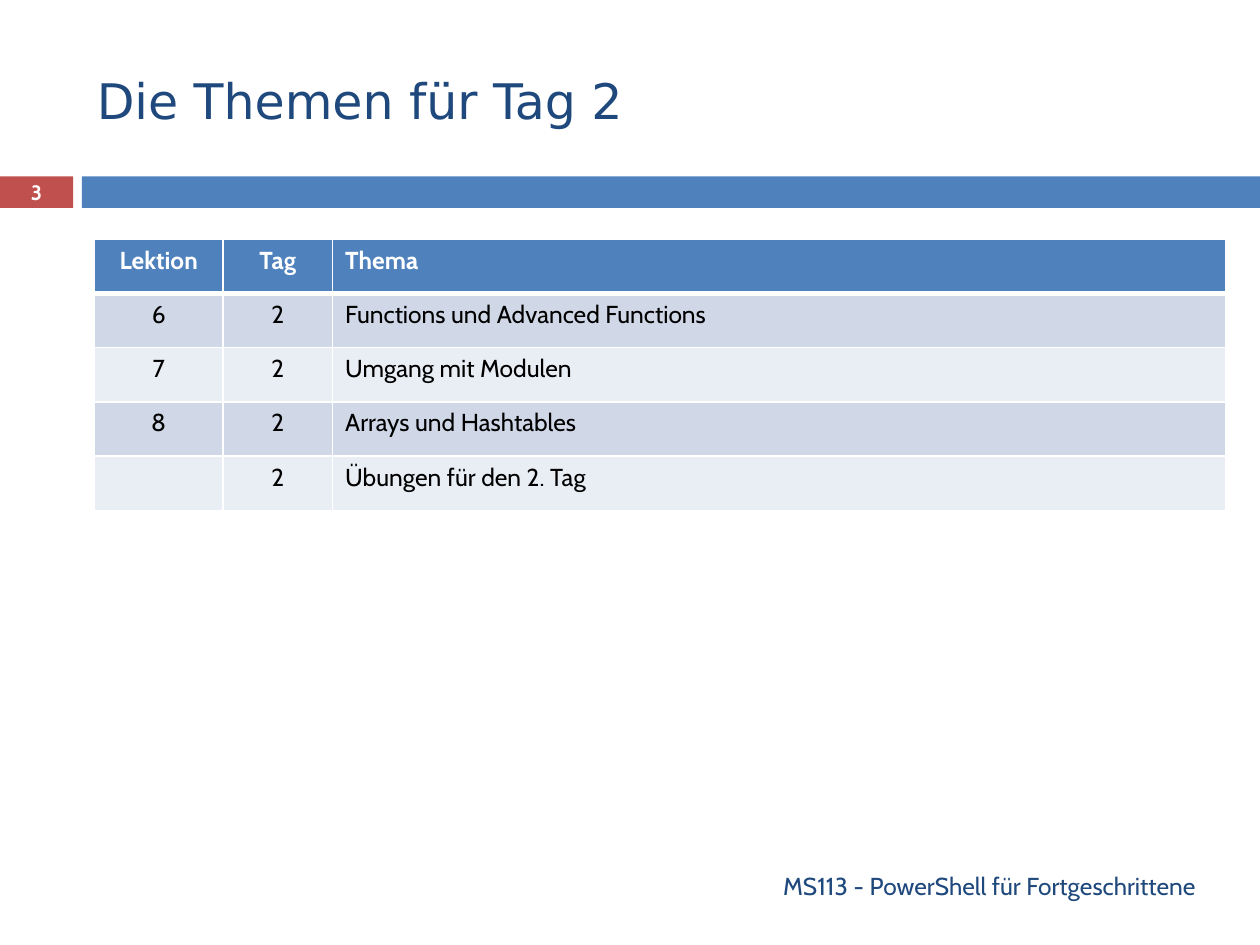
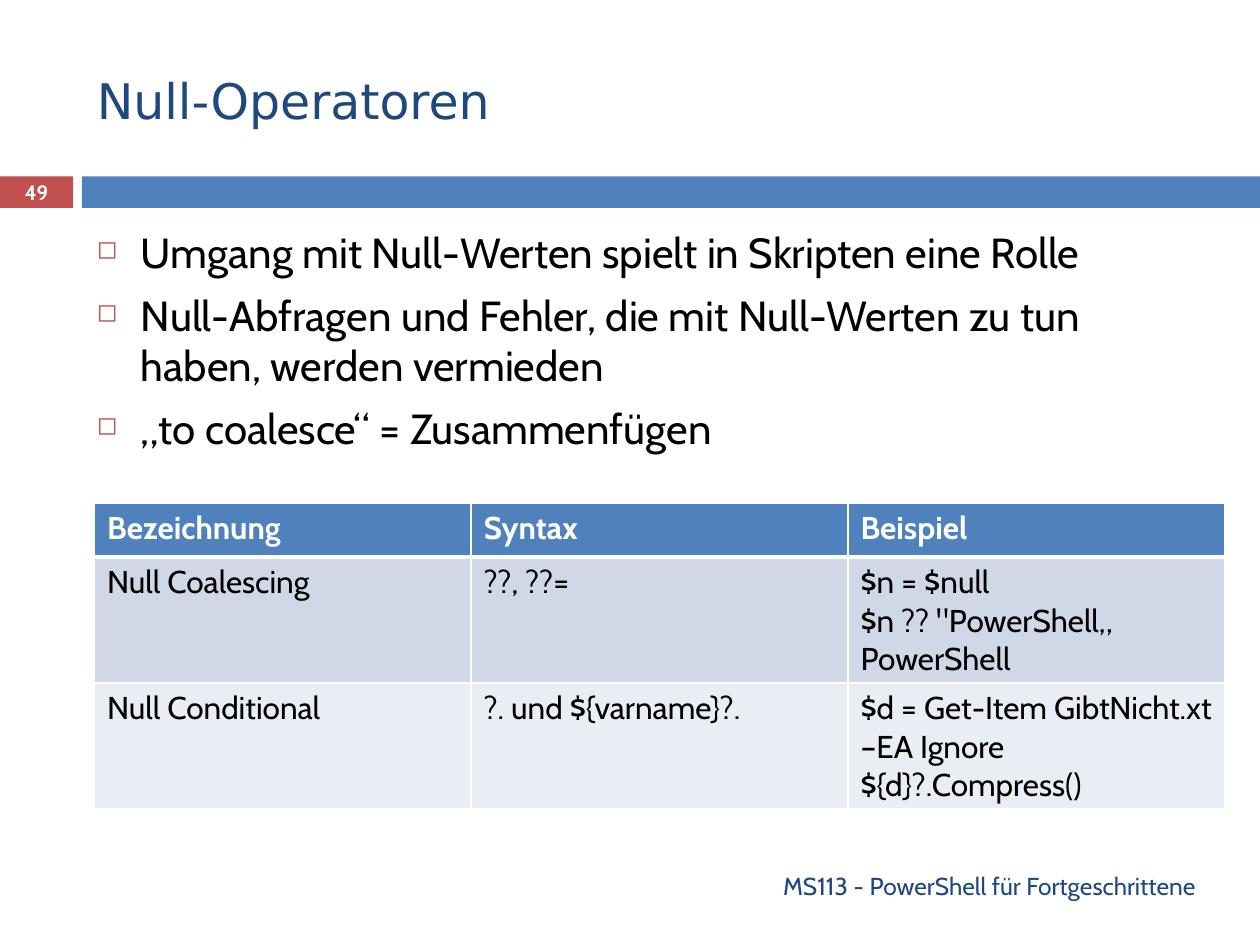
import pptx
import pptx.dml.color
import pptx.enum.shapes
import pptx.enum.text
import pptx.oxml
import pptx.oxml.ns
import pptx.util
from lxml import etree

Inches = pptx.util.Inches
Pt = pptx.util.Pt
RGBColor = pptx.dml.color.RGBColor
ALIGN = pptx.enum.text.PP_ALIGN
ANCHOR = pptx.enum.text.MSO_ANCHOR
qn = pptx.oxml.ns.qn

BLUE = RGBColor(0x4F, 0x81, 0xBD)
NAVY = RGBColor(0x1F, 0x49, 0x7D)
RED = RGBColor(0xC0, 0x50, 0x4D)
BAND_DARK = RGBColor(0xD0, 0xD8, 0xE8)
BAND_LIGHT = RGBColor(0xE9, 0xED, 0xF4)
WHITE = RGBColor(0xFF, 0xFF, 0xFF)
BLACK = RGBColor(0, 0, 0)
TITLE_FONT = "DejaVu Sans"
BODY_FONT = "Cabin"
FOOTER = "MS113 - PowerShell für Fortgeschrittene"


class Deck:
    def __init__(self):
        self.prs = pptx.Presentation()
        self.prs.slide_width = Inches(10)
        self.prs.slide_height = Inches(7.5)
        self.s = None

    def slide(self, title, number):
        self.s = self.prs.slides.add_slide(self.prs.slide_layouts[6])
        self.band(0, 0.58, RED)
        self.band(0.65, 9.35, BLUE)
        self.text(title, 0.67, 0.25, 8.92, 1.08, 28, NAVY, font=TITLE_FONT)
        self.text(FOOTER, 0.67, 6.83, 8.92, 0.4, 14, NAVY, ALIGN.RIGHT)
        self.text(str(number), 0, 1.39, 0.58, 0.27, 11.9, WHITE, ALIGN.CENTER, bold=True)

    def band(self, left, width, color):
        sp = self.s.shapes.add_shape(pptx.enum.shapes.MSO_SHAPE.RECTANGLE,
                                     Inches(left), Inches(1.4), Inches(width), Inches(0.25))
        sp.shadow.inherit = False
        sp.fill.solid()
        sp.fill.fore_color.rgb = color
        sp.line.fill.background()

    def style(self, tf, size, color, align=ALIGN.LEFT, bold=False, font=BODY_FONT):
        for p in tf.paragraphs:
            p.alignment = align
            for r in p.runs:
                r.font.name = font
                r.font.size = Pt(size)
                r.font.bold = bold
                r.font.color.rgb = color

    def text(self, text, left, top, width, height, size, color,
             align=ALIGN.LEFT, bold=False, font=BODY_FONT, anchor=ANCHOR.MIDDLE):
        sp = self.s.shapes.add_textbox(Inches(left), Inches(top), Inches(width), Inches(height))
        tf = sp.text_frame
        tf.word_wrap = True
        tf.vertical_anchor = anchor
        tf.text = text
        self.style(tf, size, color, align, bold, font)
        return tf

    def bullets(self, items):
        tf = self.text("\n".join(items), 0.67, 1.75, 8.92, 4.92, 24, BLACK, anchor=ANCHOR.TOP)
        for i, p in enumerate(tf.paragraphs):
            pPr = p._p.get_or_add_pPr()
            pPr.set("marL", str(Inches(0.35)))
            pPr.set("indent", str(-Inches(0.35)))
            color = etree.SubElement(pPr, qn("a:buClr"))
            etree.SubElement(color, qn("a:srgbClr"), val=str(RED))
            etree.SubElement(pPr, qn("a:buSzPct"), val="60000")
            etree.SubElement(pPr, qn("a:buChar"), char="◻")
            if i:
                p.space_before = Pt(7)

    def borders(self, cell, row):
        tcPr = cell._tc.get_or_add_tcPr()
        widths = {"L": 1, "R": 1, "T": 3 if row == 1 else 1, "B": 3 if row == 0 else 1}
        for side, width in widths.items():
            ln = etree.SubElement(tcPr, qn(f"a:ln{side}"), w=str(Pt(width)))
            fill = etree.SubElement(ln, qn("a:solidFill"))
            etree.SubElement(fill, qn("a:srgbClr"), val=str(WHITE))

    def table(self, rows, top, widths, heights, size, centered=()):
        frame = self.s.shapes.add_table(len(rows), len(widths), Inches(0.75), Inches(top),
                                        Inches(sum(widths)), Inches(sum(heights)))
        table = frame.table
        for column, width in zip(table.columns, widths):
            column.width = Inches(width)
        for i, (values, height) in enumerate(zip(rows, heights)):
            table.rows[i].height = Inches(height)
            header = i == 0
            band = BLUE if header else BAND_DARK if i % 2 else BAND_LIGHT
            for j, value in enumerate(values):
                cell = table.cell(i, j)
                self.borders(cell, i)
                cell.fill.solid()
                cell.fill.fore_color.rgb = band
                cell.text_frame.text = value
                align = ALIGN.CENTER if j in centered else ALIGN.LEFT
                self.style(cell.text_frame, size, WHITE if header else BLACK, align, header)


def main():
    deck = Deck()

    deck.slide("Die Themen für Tag 2", 3)
    topics = [
        ("Lektion", "Tag", "Thema"),
        ("6", "2", "Functions und Advanced Functions"),
        ("7", "2", "Umgang mit Modulen"),
        ("8", "2", "Arrays und Hashtables"),
        ("", "2", "Übungen für den 2. Tag"),
    ]
    deck.table(topics, 1.9, [1.02, 0.87, 7.09], [0.43] * 5, 14, centered=(0, 1))

    deck.slide("Null-Operatoren", 49)
    deck.bullets([
        "Umgang mit Null-Werten spielt in Skripten eine Rolle",
        "Null-Abfragen und Fehler, die mit Null-Werten zu tun haben, werden vermieden",
        "„to coalesce“ = Zusammenfügen",
    ])
    operators = [
        ("Bezeichnung", "Syntax", "Beispiel"),
        ("Null Coalescing", "??, ??=", "$n = $null\n$n ?? \"PowerShell„\nPowerShell"),
        ("Null Conditional", "?. und ${varname}?.",
         "$d = Get-Item GibtNicht.xt –EA Ignore\v${d}?.Compress()"),
    ]
    deck.table(operators, 3.99, [2.99] * 3, [0.43, 1, 1], 18)

    deck.prs.save("out.pptx")


if __name__ == "__main__":
    main()
